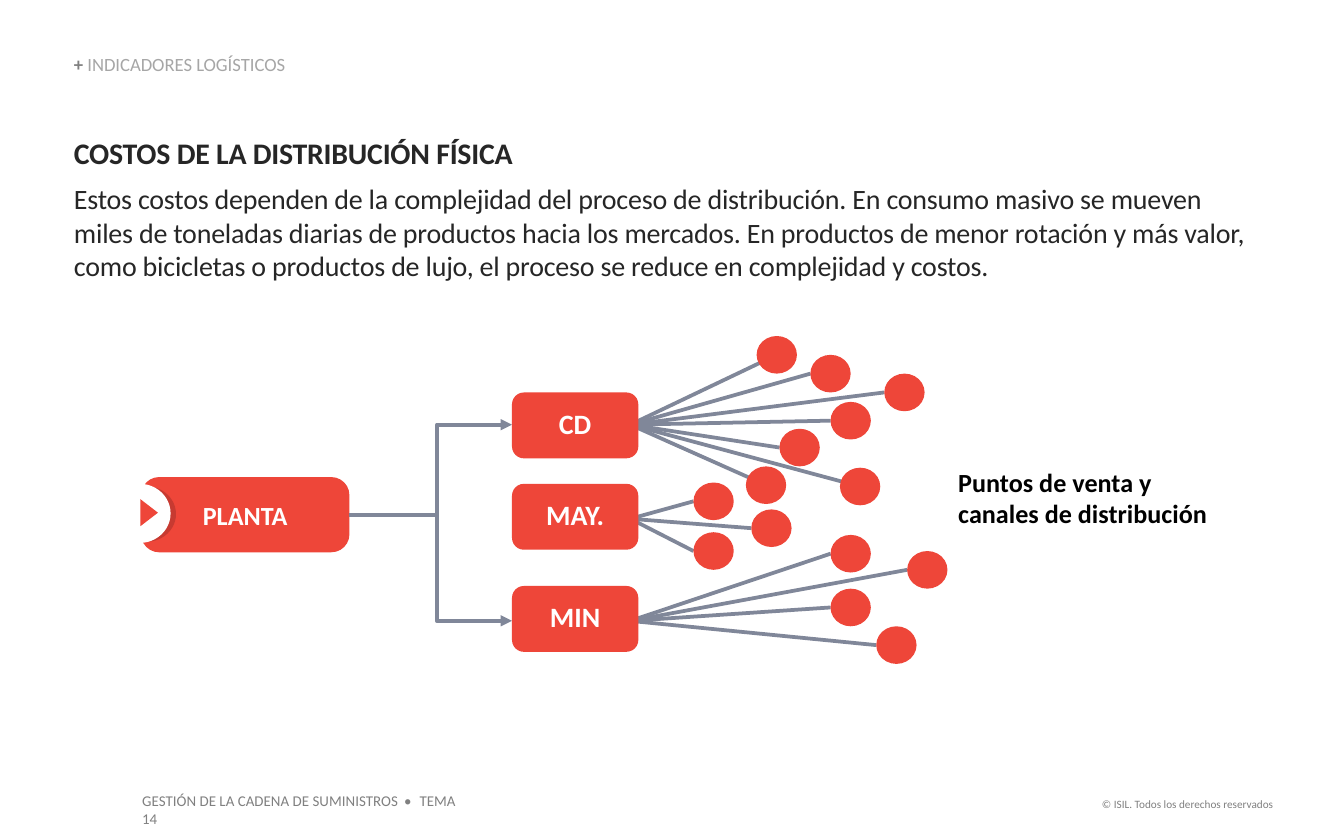
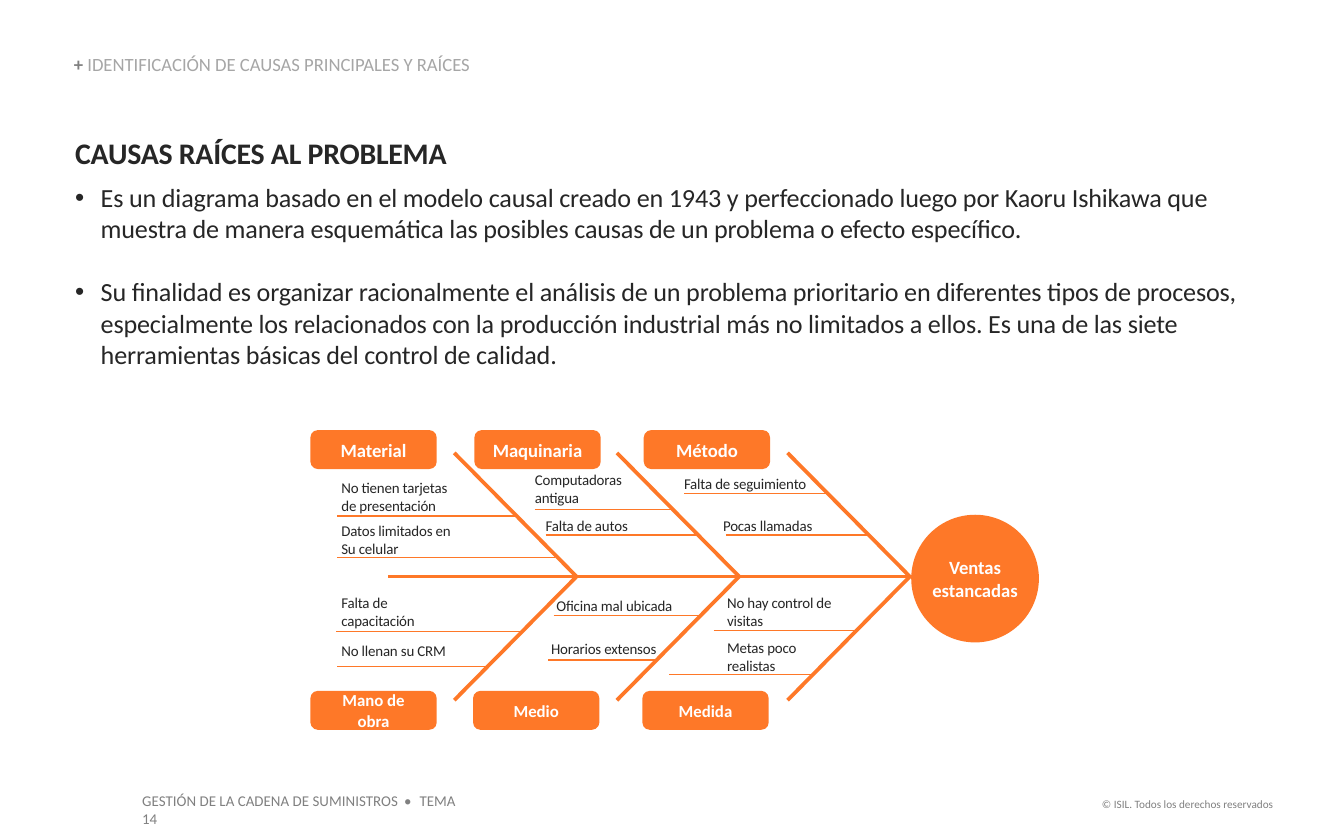
from lxml import etree
from pptx import Presentation
from pptx import util as u
from pptx.dml.color import RGBColor
from pptx.enum import shapes, text
from pptx.oxml.ns import qn

PX = 9144  # EMU per px, 100 px to the inch
FONT = "Calibri"
RED = RGBColor(0xEE, 0x46, 0x39)
DARK_RED = RGBColor(0xC7, 0x3A, 0x31)
ORANGE = RGBColor(0xFE, 0x78, 0x28)
SLATE = RGBColor(0x80, 0x87, 0x99)
GRAY = RGBColor(0x80, 0x80, 0x80)
LIGHT_GRAY = RGBColor(0xA6, 0xA6, 0xA6)
INK = RGBColor(0x26, 0x26, 0x26)
BLACK = RGBColor(0, 0, 0)
WHITE = RGBColor(0xFF, 0xFF, 0xFF)
SHAPE = shapes.MSO_SHAPE
ALIGN = text.PP_ALIGN

# Each hub: label, box top, start of its lines, outlets as (left, top, line reach into the circle)
HUBS = [
    ("CD", 292, 316, [(563, 250, 15), (603, 264, 0), (658, 278, 0), (618, 299, 0),
                      (580, 319, 0), (625, 348, 15), (555, 347, 15)]),
    ("MAY.", 360, 386, [(516, 359, 0), (559, 379, 0), (516, 396, 0)]),
    ("MIN", 436, 462, [(618, 398, 0), (675, 410, 0), (618, 438, 0), (652, 466, 0)]),
]
OUTLET_W, OUTLET_H = 30, 28

# Each cause: text left, top, width; line from, to, height; words
CAUSES = [
    (253, 356, 92, 251, 383, 384, "No tienen tarjetas de presentación"),
    (253, 388, 92, 251, 413, 415, "Datos limitados en\nSu celular"),
    (397, 350, 92, 398, 500, 379, "Computadoras\nantigua"),
    (405, 384, 92, 406, 520, 398, "Falta de autos"),
    (508, 353, 103, 509, 615, 367, "Falta de seguimiento"),
    (537, 384, 92, 540, 645, 398, "Pocas llamadas"),
    (253, 442, 92, 250, 389, 470, "Falta de\ncapacitación"),
    (253, 477, 92, 251, 362, 496, "No llenan su CRM"),
    (413, 444, 92, 412, 520, 458, "Oficina mal ubicada"),
    (409, 476, 92, 408, 488, 491, "Horarios extensos"),
    (540, 442, 92, 531, 639, 469, "No hay control de\nvisitas"),
    (540, 475, 92, 498, 606, 502, "Metas poco\nrealistas"),
]


def px(*lengths):
    return [u.Emu(round(n * PX)) for n in lengths]


def letter_spacing(r, hundredths):
    r._r.get_or_add_rPr().set("spc", str(hundredths))


def format_runs(p, size, color, bold=False, spacing=0):
    """Spacing is between letters, in hundredths of a point."""
    for r in p.runs:
        r.font.name, r.font.size, r.font.bold = FONT, u.Pt(size), bold
        r.font.color.rgb = color
        if spacing:
            letter_spacing(r, spacing)


def no_margins(tf):
    tf.margin_left = tf.margin_top = tf.margin_right = tf.margin_bottom = 0


def indent(p, left, first=0):
    pPr = p._p.get_or_add_pPr()
    pPr.set("marL", str(left * PX))
    pPr.set("indent", str(first * PX))
    return pPr


def bullet(p):
    pPr = indent(p, 20, -19)
    etree.SubElement(pPr, qn("a:buFont"), typeface="Arial")
    etree.SubElement(pPr, qn("a:buChar"), char="•")


def fill_text(tf, words, size, color, bold=False, align=ALIGN.LEFT, spacing=0):
    tf.word_wrap = True
    tf.text = words
    for p in tf.paragraphs:
        p.alignment = align
        format_runs(p, size, color, bold, spacing)


def text_box(s, box, words, size, color, margins=False, **style):
    tf = s.shapes.add_textbox(*px(*box)).text_frame
    if not margins:
        no_margins(tf)
    fill_text(tf, words, size, color, **style)
    tf.auto_size = text.MSO_AUTO_SIZE.SHAPE_TO_FIT_TEXT
    return tf


def body_text(s, box, words, size):
    """Tight dark text with a hair of indent."""
    tf = text_box(s, box, words, size, INK, spacing=-10)
    for p in tf.paragraphs:
        indent(p, 1)
    return tf


def solid(s, kind, box, color):
    sp = s.shapes.add_shape(kind, *px(*box))
    sp.shadow.inherit = False
    sp.fill.solid()
    sp.fill.fore_color.rgb = color
    sp.line.fill.background()
    return sp


def label(s, kind, box, color, words, size, corner=None):
    sp = solid(s, kind, box, color)
    if corner:
        sp.adjustments[0] = corner
    sp.text_frame.vertical_anchor = text.MSO_ANCHOR.MIDDLE
    fill_text(sp.text_frame, words, size, WHITE, True, ALIGN.CENTER)
    return sp


def line(s, start, end, color, width=2):
    c = s.shapes.add_connector(shapes.MSO_CONNECTOR.STRAIGHT, *px(*start, *end))
    c.line.color.rgb = color
    c.line.width = u.Pt(width)
    etree.SubElement(c.element.spPr, qn("a:effectLst"))
    return c


def polyline(s, points, color, arrows=False):
    builder = s.shapes.build_freeform(*points[0], scale=PX)
    builder.add_line_segments(points[1:], close=False)
    sp = builder.convert_to_shape()
    sp.shadow.inherit = False
    sp.fill.background()
    sp.line.color.rgb = color
    sp.line.width = u.Pt(2)
    if arrows:
        ln = sp.element.spPr.find(qn("a:ln"))
        for end in ("a:headEnd", "a:tailEnd"):
            etree.SubElement(ln, qn(end), type="triangle")


def section_title(s, words):
    title = s.shapes.title
    title.left, title.top, title.width, title.height = px(55, 41, 465, 15)
    tf = title.text_frame
    no_margins(tf)
    tf.vertical_anchor = text.MSO_ANCHOR.BOTTOM
    fill_text(tf, "+ ", 10, GRAY, True)
    tf.auto_size = text.MSO_AUTO_SIZE.NONE
    p = tf.paragraphs[0]
    p.line_spacing = 0.9
    r = p.add_run()
    r.text = words
    r.font.name, r.font.size, r.font.bold = FONT, u.Pt(10), False
    r.font.color.rgb = LIGHT_GRAY


def explanation(s, box, heading, paragraphs, size, bulleted=False):
    tf = body_text(s, box, "\n".join([heading, *paragraphs]), size)
    first, *rest = tf.paragraphs
    format_runs(first, 16, INK, True, -10)
    first.space_after = u.Pt(6)
    for i, p in enumerate(rest):
        if i:
            p.space_before = u.Pt(16.8)
        if bulleted:
            bullet(p)


def footers(s, layout):
    """Put the footers on the layout, in place of its date, footer and number."""
    for ph in list(layout.placeholders)[1:]:
        ph.element.getparent().remove(ph.element)
    rights = text_box(s, (788, 588, 169, 20), "© ISIL. Todos los derechos reservados",
                      6, GRAY, margins=True, align=ALIGN.RIGHT)
    course = text_box(s, (96, 584, 266, 24), "GESTIÓN DE LA CADENA DE SUMINISTROS",
                      8, GRAY, margins=True)
    p = course.paragraphs[0]
    for words in (" • ", "TEMA 14"):
        p.add_run().text = words
    format_runs(p, 8, GRAY)
    letter_spacing(p.runs[1], 120)
    for tf in (rights, course):
        layout.shapes.element.append(tf._txBody.getparent())


def distribution_slide(s):
    section_title(s, "INDICADORES LOGÍSTICOS")
    explanation(s, (54, 100, 888, 111), "COSTOS DE LA DISTRIBUCIÓN FÍSICA", [
        "Estos costos dependen de la complejidad del proceso de distribución. En consumo "
        "masivo se mueven miles de toneladas diarias de productos hacia los mercados. En "
        "productos de menor rotación y más valor, como bicicletas o productos de lujo, el "
        "proceso se reduce en complejidad y costos."], 15)
    text_box(s, (713, 347, 197, 47), "Puntos de venta y canales de distribución",
             14, BLACK, bold=True)

    polyline(s, [(381, 316), (325, 316), (325, 462), (381, 462)], SLATE, arrows=True)
    plant = label(s, SHAPE.ROUNDED_RECTANGLE, (105, 355, 155, 56), RED, "PLANTA", 14, 0.24)
    line(s, (260, 383), (325, 383), SLATE).begin_connect(plant, 3)
    solid(s, SHAPE.OVAL, (88, 362, 43, 41), DARK_RED)
    solid(s, SHAPE.OVAL, (81, 360, 46, 44), WHITE)
    solid(s, SHAPE.ISOSCELES_TRIANGLE, (101, 375, 20, 13), RED).rotation = 90

    for name, top, start, outlets in HUBS:
        for x, y, reach in outlets:
            line(s, (469, start), (x + reach, y + OUTLET_H / 2), SLATE)
        hub = label(s, SHAPE.ROUNDED_RECTANGLE, (381, top, 94, 49), RED, name, 15, 0.18)
        hub.text_frame.paragraphs[0].line_spacing = 0.9
    for _, _, _, outlets in HUBS:
        for x, y, _ in outlets:
            solid(s, SHAPE.OVAL, (x, y, OUTLET_W, OUTLET_H), RED)


def fishbone_slide(s):
    section_title(s, "IDENTIFICACIÓN DE CAUSAS PRINCIPALES Y RAÍCES")
    explanation(s, (55, 100, 894, 177), "CAUSAS RAÍCES AL PROBLEMA", [
        "Es un diagrama basado en el modelo causal creado en 1943 y perfeccionado luego por "
        "Kaoru Ishikawa que muestra de manera esquemática las posibles causas de un problema "
        "o efecto específico.",
        "Su finalidad es organizar racionalmente el análisis de un problema prioritario en "
        "diferentes tipos de procesos, especialmente los relacionados con la producción "
        "industrial más no limitados a ellos. Es una de las siete herramientas básicas del "
        "control de calidad."], 14, bulleted=True)

    categories = [(320, 10, [(231, "Material"), (353, "Maquinaria"), (479, "Método")]),
                  (514, 9, [(231, "Mano de obra"), (352, "Medio"), (478, "Medida")])]
    for top, size, row in categories:
        for x, name in row:
            label(s, SHAPE.ROUNDED_RECTANGLE, (x, top, 94, 29), ORANGE, name, size, 0.19)
    for x in (338, 459, 586):
        polyline(s, [(x, 337), (x + 91, 429), (x, 521)], ORANGE)
    line(s, (289, 429), (688, 429), ORANGE)
    for x, y, width, start, end, line_y, words in CAUSES:
        rows = 2 if "\n" in words or len(words) > 20 else 1
        body_text(s, (x, y, width, 13.5 * rows), words, 8)
        line(s, (start, line_y), (end, line_y), ORANGE, 0.75)
    effect = label(s, SHAPE.OVAL, (678, 383, 95, 95), ORANGE, "Ventas\nestancadas", 10)
    no_margins(effect.text_frame)


def main():
    prs = Presentation()
    prs.slide_width, prs.slide_height = px(1000, 625)
    layout = prs.slide_layouts[5]
    first, second = (prs.slides.add_slide(layout) for _ in range(2))
    footers(first, layout)
    distribution_slide(first)
    fishbone_slide(second)
    prs.save("out.pptx")


if __name__ == "__main__":
    main()
